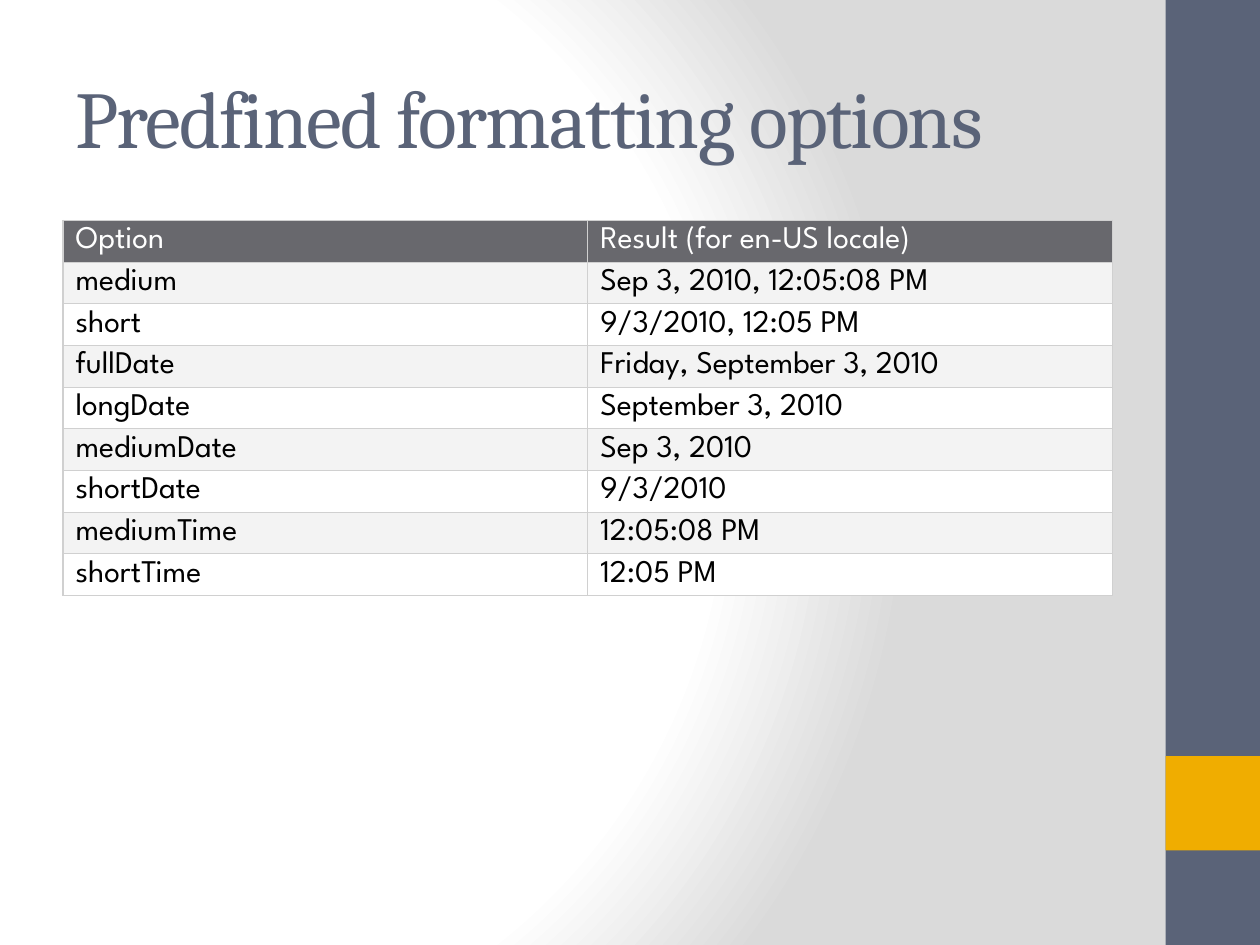
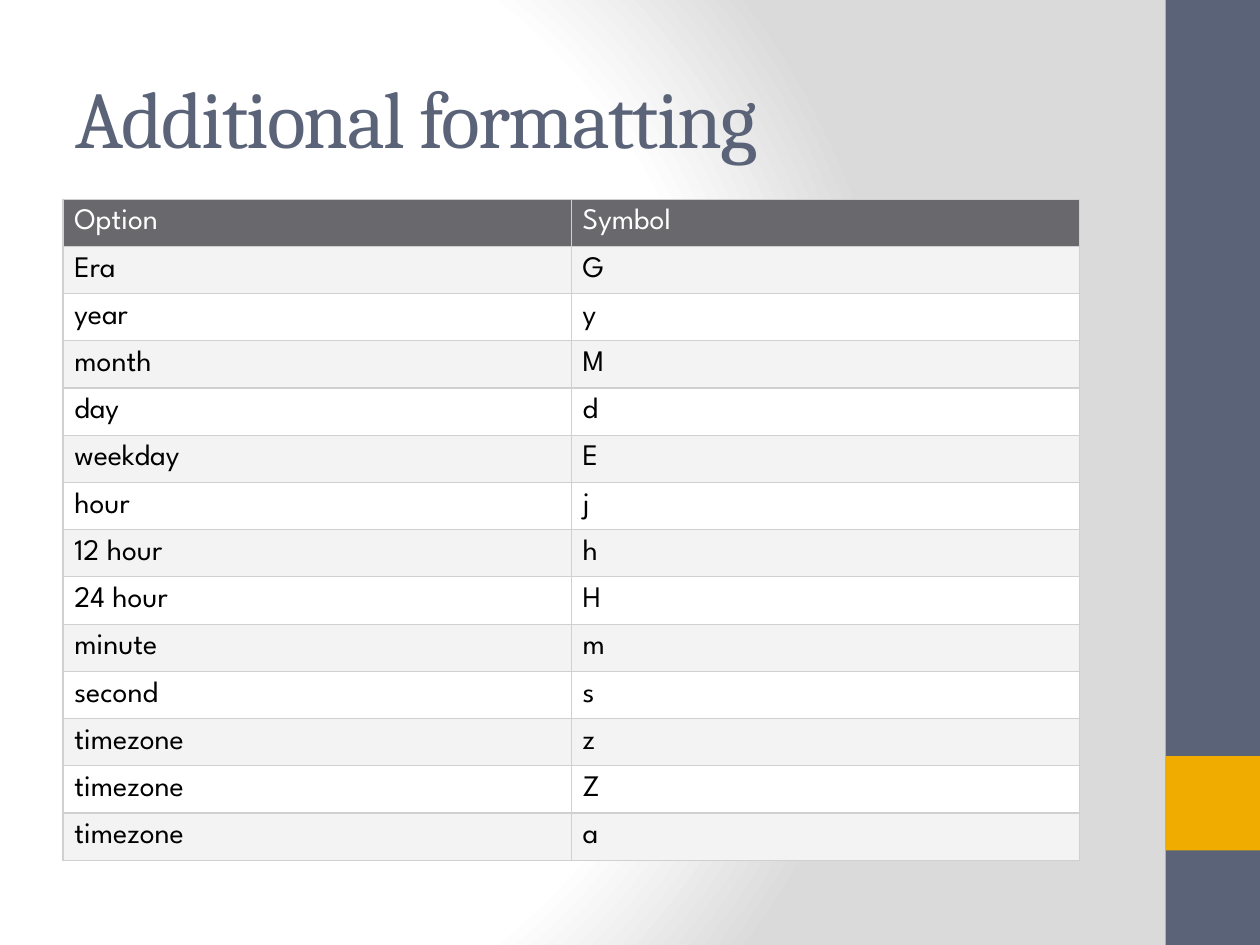
from dataclasses import dataclass

from pptx import Presentation
from pptx.dml.color import RGBColor
from pptx.enum.shapes import MSO_SHAPE
from pptx.enum.text import MSO_ANCHOR, MSO_AUTO_SIZE, PP_ALIGN
from pptx.oxml import parse_xml
from pptx.oxml.ns import nsdecls
from pptx.util import Inches, Pt

TITLE_FONT, TABLE_FONT = "Cambria", "League Spartan"
SLATE, AMBER = "5A6378", "F0AD00"
HEADER, STRIPE, WHITE, BLACK = "68686D", "F3F3F3", "FFFFFF", "000000"
GRID, SHADE = "D0D0D0", "DADADA"


@dataclass(frozen=True)
class Band:
    """A coloured block in the right-hand margin, in inches."""
    top: float
    height: float
    color: str


@dataclass(frozen=True)
class TableSlide:
    """A title with a two-column table below it, lengths in inches."""
    title: str
    top: float
    width: float
    row_height: float
    side_margin: float
    font_size: float
    rows: list[tuple[str, str]]


BANDS = [Band(0, 7.5, SLATE), Band(6, 0.75, AMBER)]

SLIDES = [
    TableSlide("Predfined formatting options", 1.75, 8.33, 0.33, 0.1, 18, [
        ("Option", "Result (for en-US locale)"),
        ("medium", "Sep 3, 2010, 12:05:08 PM"),
        ("short", "9/3/2010, 12:05 PM"),
        ("fullDate", "Friday, September 3, 2010"),
        ("longDate", "September 3, 2010"),
        ("mediumDate", "Sep 3, 2010"),
        ("shortDate", "9/3/2010"),
        ("mediumTime", "12:05:08 PM"),
        ("shortTime", "12:05 PM"),
    ]),
    TableSlide("Additional formatting", 1.58, 8.07, 5.25 / 14, 0.09, 17, [
        ("Option", "Symbol"),
        ("Era", "G"),
        ("year", "y"),
        ("month", "M"),
        ("day", "d"),
        ("weekday", "E"),
        ("hour", "j"),
        ("12 hour", "h"),
        ("24 hour", "H"),
        ("minute", "m"),
        ("second", "s"),
        ("timezone", "z"),
        ("timezone", "Z"),
        ("timezone", "a"),
    ]),
]


def rgb(color: str) -> RGBColor:
    """Turn a hex string into a colour."""
    return RGBColor.from_string(color)


def paint_background(layout) -> None:
    """Give the layout a round gradient from white to grey."""
    stops = "".join(
        f'<a:gs pos="{percent * 1000}"><a:srgbClr val="{color}"/></a:gs>'
        for percent, color in [(0, WHITE), (75, WHITE), (100, SHADE)])
    gradient = parse_xml(
        f'<a:gradFill {nsdecls("a")} rotWithShape="1"><a:gsLst>{stops}</a:gsLst>'
        '<a:path path="circle"><a:fillToRect l="20000" t="50000" r="100000" b="50000"/>'
        '</a:path></a:gradFill>')
    layout.background.fill.solid()
    properties = layout.element.cSld.find(".//{*}bgPr")
    properties.replace(properties[0], gradient)


def add_bands(slide, layout) -> None:
    """Draw the margin bands and move them to the layout all slides share."""
    for number, band in enumerate(BANDS):
        shape = slide.shapes.add_shape(
            MSO_SHAPE.RECTANGLE, Inches(9.25), Inches(band.top),
            Inches(0.75), Inches(band.height))
        shape.fill.solid()
        shape.fill.fore_color.rgb = rgb(band.color)
        shape.line.fill.background()
        shape.shadow.inherit = False
        shape.element.nvSpPr.cNvPr.set("id", str(100 + number))
        layout.shapes.element.append(shape.element)


def set_title(slide, text: str) -> None:
    """Fill, place and format the title placeholder."""
    title = slide.shapes.title
    title.left, title.top = Inches(0.5), Inches(0.3)
    title.width, title.height = Inches(8.33), Inches(1.25)
    frame = title.text_frame
    frame.text = text
    frame.auto_size = MSO_AUTO_SIZE.NONE
    frame.vertical_anchor = MSO_ANCHOR.MIDDLE
    paragraph = frame.paragraphs[0]
    paragraph.alignment = PP_ALIGN.LEFT
    run = paragraph.runs[0]
    run.font.name, run.font.size = TITLE_FONT, Pt(46)
    run.font.color.rgb = rgb(SLATE)
    run._r.get_or_add_rPr().set("spc", "-100")


def add_borders(cell) -> None:
    """Draw a thin grey line on every side of a cell."""
    properties = cell._tc.get_or_add_tcPr()
    for position, side in enumerate(("lnL", "lnR", "lnT", "lnB")):
        properties.insert(position, parse_xml(
            f'<a:{side} {nsdecls("a")} w="{int(Pt(0.75))}"><a:solidFill>'
            f'<a:srgbClr val="{GRID}"/></a:solidFill></a:{side}>'))


def format_cell(cell, text: str, spec: TableSlide, fill: str, color: str) -> None:
    """Write one table cell with its fill, font and borders."""
    cell.text = text
    cell.vertical_anchor = MSO_ANCHOR.MIDDLE
    cell.margin_left = cell.margin_right = Inches(spec.side_margin)
    cell.margin_top = cell.margin_bottom = Inches(0.05)
    cell.fill.solid()
    cell.fill.fore_color.rgb = rgb(fill)
    font = cell.text_frame.paragraphs[0].runs[0].font
    font.name, font.size, font.bold = TABLE_FONT, Pt(spec.font_size), False
    font.color.rgb = rgb(color)
    add_borders(cell)


def add_option_table(slide, spec: TableSlide) -> None:
    """Add the table with a dark header and striped rows."""
    table = slide.shapes.add_table(
        len(spec.rows), 2, Inches(0.5), Inches(spec.top), Inches(spec.width),
        Inches(spec.row_height * len(spec.rows))).table
    for column in table.columns:
        column.width = Inches(spec.width / 2)
    for index, texts in enumerate(spec.rows):
        table.rows[index].height = Inches(spec.row_height)
        fill = HEADER if index == 0 else STRIPE if index % 2 else WHITE
        color = WHITE if index == 0 else BLACK
        for column, text in enumerate(texts):
            format_cell(table.cell(index, column), text, spec, fill, color)


def main() -> None:
    """Build and save the presentation."""
    presentation = Presentation()
    presentation.slide_width, presentation.slide_height = Inches(10), Inches(7.5)
    layout = presentation.slide_layouts.get_by_name("Title Only")
    paint_background(layout)
    slides = [presentation.slides.add_slide(layout) for _ in SLIDES]
    add_bands(slides[0], layout)
    for slide, spec in zip(slides, SLIDES):
        set_title(slide, spec.title)
        add_option_table(slide, spec)
    presentation.save("out.pptx")


main()
